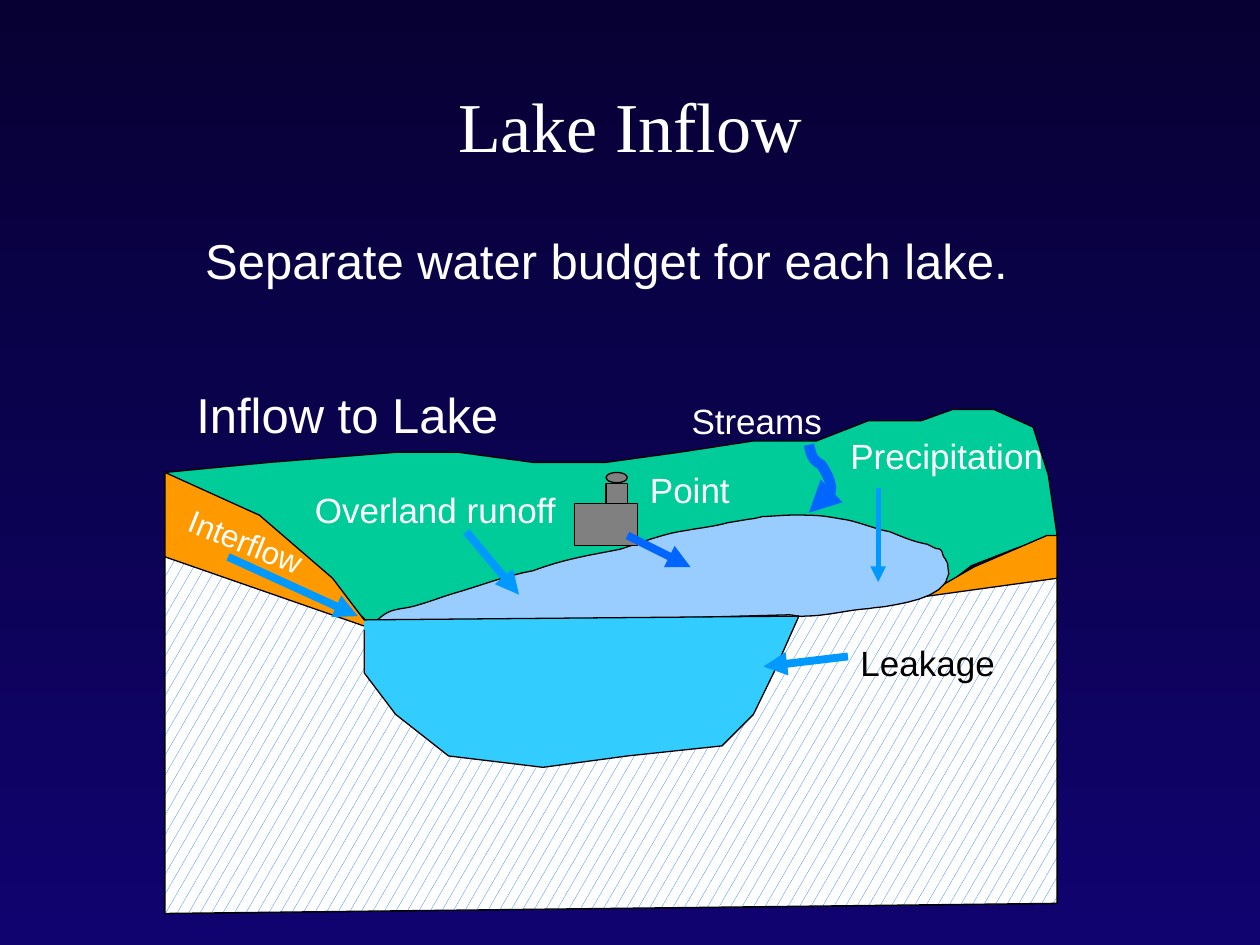
from lxml import etree
from pptx import Presentation
from pptx.dml.color import RGBColor
from pptx.enum.dml import MSO_PATTERN
from pptx.enum.shapes import MSO_CONNECTOR, MSO_SHAPE
from pptx.enum.text import MSO_ANCHOR, MSO_AUTO_SIZE, PP_ALIGN
from pptx.oxml.ns import qn
from pptx.util import Inches, Pt

CONFETTI = MSO_PATTERN.SMALL_CONFETTI
STRAIGHT = MSO_CONNECTOR.STRAIGHT
RECTANGLE, OVAL = MSO_SHAPE.RECTANGLE, MSO_SHAPE.OVAL
MIDDLE, TOP = MSO_ANCHOR.MIDDLE, MSO_ANCHOR.TOP
CENTER, LEFT = PP_ALIGN.CENTER, PP_ALIGN.LEFT
FIT_SHAPE, NO_FIT = MSO_AUTO_SIZE.SHAPE_TO_FIT_TEXT, MSO_AUTO_SIZE.NONE

WHITE, BLACK, GRAY = "FFFFFF", "000000", "808080"
FLOW_BLUE, STREAM_BLUE = "0099FF", "0066FF"

HILLS = [(0, 0.75), (0.83, 0.67), (1.83, 0.59), (2.33, 0.59), (2.92, 0.67), (3.5, 0.67),
         (4.08, 0.59), (4.67, 0.5), (5.17, 0.5), (5.58, 0.34), (6, 0.34), (6.25, 0.25),
         (6.58, 0.25), (6.89, 0.39), (7.01, 0.77), (7.08, 1.25), (6.76, 1.35), (6.4, 1.49),
         (6.18, 1.66), (6.08, 1.73), (5.5, 1.84), (4.92, 1.92), (1.6, 1.93), (1.08, 1.42),
         (0.75, 1.09), (0.33, 0.92)]
SOIL = [(0, 0.75), (0.75, 1.09), (1.33, 1.59), (1.58, 1.92), (4.92, 1.92), (5.83, 1.84),
        (6.42, 1.5), (7, 1.25), (7.08, 1.25), (7.08, 4.17), (0, 4.25)]
BEDROCK = [(4.92, 1.84), (5.92, 1.75), (7.08, 1.59), (7.08, 4.17), (0, 4.25), (0, 1.42),
           (1.67, 2)]
WATER = [(1.58, 2), (1.58, 2.34), (1.83, 2.67), (2.25, 3), (3, 3.09), (3.67, 3),
         (4.42, 2.92), (4.67, 2.67), (4.83, 2.34), (5.03, 1.89), (1.58, 1.92)]
SURFACE = [(1.62, 1.97), (1.67, 1.94), (1.71, 1.89), (1.77, 1.86), (1.83, 1.83), (1.91, 1.83),
           (1.98, 1.81), (2.09, 1.78), (2.19, 1.74), (2.29, 1.71), (2.5, 1.65), (2.7, 1.57),
           (2.92, 1.53), (3.16, 1.44), (3.35, 1.41), (3.61, 1.36), (3.77, 1.31), (3.97, 1.23),
           (4.14, 1.21), (4.24, 1.19), (4.36, 1.18), (4.46, 1.15), (4.52, 1.14), (4.58, 1.13),
           (4.64, 1.12), (4.67, 1.12), (4.74, 1.1), (4.74, 1.1), (4.8, 1.1), (4.99, 1.08),
           (5.1, 1.09), (5.2, 1.09), (5.26, 1.1), (5.37, 1.12), (5.48, 1.13), (5.63, 1.2),
           (5.75, 1.22), (5.85, 1.26), (5.94, 1.3), (6.05, 1.32), (6.07, 1.33), (6.09, 1.34),
           (6.11, 1.35), (6.13, 1.36), (6.15, 1.35), (6.16, 1.37), (6.17, 1.38), (6.17, 1.4),
           (6.18, 1.42), (6.19, 1.43), (6.2, 1.45), (6.21, 1.47), (6.29, 1.72), (5.91, 1.78),
           (5.74, 1.81), (5.69, 1.82), (5.64, 1.82), (5.59, 1.83), (5.42, 1.84), (5.25, 1.89),
           (5.08, 1.89), (5.04, 1.9), (4.99, 1.88), (4.95, 1.88)]
STREAM = [(5.11, 0.53), (5.13, 0.62), (5.14, 0.65), (5.21, 0.69), (5.28, 0.8), (5.35, 0.94),
          (5.18, 1.01), (5.14, 1.07), (5.16, 1.05), (5.11, 1.07)]


def color(value):
    """Turn a hex string into a colour."""
    return RGBColor.from_string(value)


def fill_solid(shape, value):
    """Give a shape one plain fill."""
    shape.fill.solid()
    shape.fill.fore_color.rgb = color(value)


def set_line(shape, value=BLACK, width=0.75):
    """Set an outline and remove the theme shadow."""
    shape.line.color.rgb = color(value)
    shape.line.width = Pt(width)
    if hasattr(shape, "shadow"):
        shape.shadow.inherit = False
    else:
        etree.SubElement(shape._element.spPr, qn("a:effectLst"))


def add_arrowhead(shape):
    """Put a triangle at the end of a line."""
    etree.SubElement(shape.line._get_or_add_ln(), qn("a:tailEnd"), type="triangle")


def flatten_curve(points, steps=8):
    """Trace a chain of cubic curves as a list of points."""
    traced = [points[0]]
    for index in range(0, len(points) - 1, 3):
        segment = points[index:index + 4]
        for step in range(1, steps + 1):
            t = step / steps
            weights = ((1 - t) ** 3, 3 * t * (1 - t) ** 2, 3 * t * t * (1 - t), t ** 3)
            traced.append(tuple(sum(weight * point[axis] for weight, point in zip(weights, segment))
                                for axis in (0, 1)))
    return traced


def add_outline(slide, box, points, close=True):
    """Draw a freeform whose points are measured from the box corner."""
    placed = [(Inches(box[0] + x), Inches(box[1] + y)) for x, y in points]
    builder = slide.shapes.build_freeform(*placed[0])
    builder.add_line_segments(placed[1:], close=close)
    shape = builder.convert_to_shape()
    set_line(shape)
    return shape


def add_text(slide, box, text, size, hex_color=WHITE, font="Arial", align=LEFT,
             anchor=TOP, wrap=False, fit=FIT_SHAPE, rotation=0):
    """Place one line of text in a box."""
    shape = slide.shapes.add_textbox(*map(Inches, box))
    shape.rotation = rotation
    frame_format = {"word_wrap": wrap, "auto_size": fit, "vertical_anchor": anchor}
    for name, value in frame_format.items():
        setattr(shape.text_frame, name, value)
    paragraph = shape.text_frame.paragraphs[0]
    paragraph.alignment = align
    run = paragraph.add_run()
    run.text = text
    for name, value in {"name": font, "size": Pt(size)}.items():
        setattr(run.font, name, value)
    run.font.color.rgb = color(hex_color)


def add_land(slide, box):
    """Draw the hills, the soil and the bedrock."""
    for points, value in ((HILLS, "00CC99"), (SOIL, "FF9900")):
        fill_solid(add_outline(slide, box, points), value)
    fill = add_outline(slide, box, BEDROCK).fill
    fill.patterned()
    fill.pattern = CONFETTI
    fill.fore_color.rgb = color(STREAM_BLUE)
    fill.back_color.rgb = color(WHITE)


def add_lake(slide, box):
    """Draw the lake surface and the water below it."""
    fill_solid(add_outline(slide, box, flatten_curve(SURFACE)), "99CCFF")
    fill_solid(add_outline(slide, box, WATER, close=False), "33CCFF")


def add_factory(slide, box):
    """Draw the point source: chimney, building and smoke opening."""
    left, top, width, height = box
    parts = [(RECTANGLE, 0.5, 0.15, 0.34, 0.57), (RECTANGLE, 0, 0.43, 1, 0.57),
             (OVAL, 0.5, 0, 0.34, 0.14)]
    for kind, x, y, part_width, part_height in parts:
        shape = slide.shapes.add_shape(
            kind, Inches(left + x * width), Inches(top + y * height),
            Inches(part_width * width), Inches(part_height * height))
        fill_solid(shape, GRAY)
        set_line(shape)


def add_flows(slide, box):
    """Draw the inflow arrows."""
    left, top = box[:2]
    flows = [(2.39, 1.22, 2.81, 1.72, FLOW_BLUE, 4.5), (3.67, 1.25, 4.17, 1.5, STREAM_BLUE, 4.5),
             (5.66, 0.87, 5.66, 1.62, FLOW_BLUE, 3), (5.42, 2.21, 4.75, 2.29, FLOW_BLUE, 4.5),
             (0.5, 1.42, 1.53, 1.89, FLOW_BLUE, 4.5)]
    for x1, y1, x2, y2, value, width in flows:
        arrow = slide.shapes.add_connector(STRAIGHT, Inches(left + x1), Inches(top + y1),
                                           Inches(left + x2), Inches(top + y2))
        set_line(arrow, value, width)
        add_arrowhead(arrow)
    stream = add_outline(slide, box, flatten_curve(STREAM), close=False)
    stream.fill.background()
    set_line(stream, STREAM_BLUE, 6)
    add_arrowhead(stream)


def add_labels(slide, box):
    """Name each inflow."""
    left, top = box[:2]
    labels = [("Overland runoff", 1.09, 0.83, 2.15, WHITE), ("Precipitation", 5.34, 0.4, 1.76, WHITE),
              ("Leakage", 5.42, 2.04, 1.29, BLACK), ("Streams", 4.08, 0.12, 1.27, WHITE),
              ("Point", 3.75, 0.67, 0.86, WHITE)]
    for text, x, y, width, value in labels:
        add_text(slide, (left + x, top + y, width, 0.43), text, 20, value)
    add_text(slide, (left + 0.15, top, 2.64, 0.57), "Inflow to Lake", 28)
    add_text(slide, (left + 0.07, top + 1.1, 1.15, 0.4), "Interflow", 18, rotation=21.9)


def add_background(slide):
    """Fill the slide with a downward gradient."""
    fill = slide.background.fill
    fill.gradient()
    fill.gradient_angle = 270
    for stop, value in zip(fill.gradient_stops, ("070133", "10036F")):
        stop.color.rgb = color(value)


def main():
    """Build and save the slide."""
    presentation = Presentation()
    presentation.slide_width, presentation.slide_height = Inches(10), Inches(7.5)
    slide = presentation.slides.add_slide(presentation.slide_layouts[6])
    add_background(slide)
    add_text(slide, (0.75, 0.36, 8.5, 1.25), "Lake Inflow", 40, font="Times New Roman",
             align=CENTER, anchor=MIDDLE, wrap=True, fit=NO_FIT)
    add_text(slide, (1.53, 1.78, 7.25, 0.57), "Separate water budget for each lake.", 28, wrap=True)
    diagram = (1.31, 3, 7.08, 4.25)
    add_land(slide, diagram)
    add_lake(slide, diagram)
    add_factory(slide, (4.56, 3.75, 0.5, 0.58))
    add_flows(slide, diagram)
    add_labels(slide, diagram)
    presentation.save("out.pptx")


if __name__ == "__main__":
    main()
